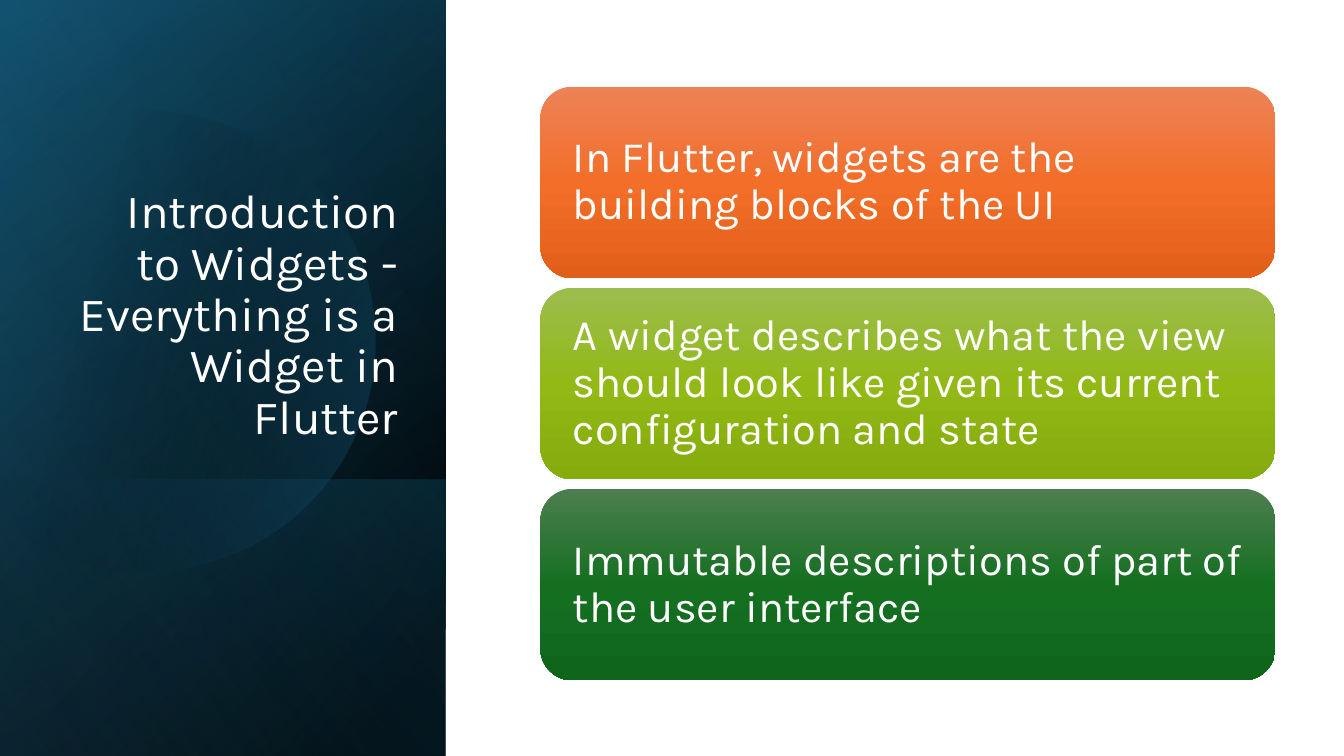
from lxml.etree import SubElement
from pptx import Presentation
from pptx.dml.color import RGBColor
from pptx.enum.shapes import MSO_SHAPE
from pptx.enum.text import MSO_ANCHOR, MSO_AUTO_SIZE, PP_ALIGN
from pptx.oxml.ns import qn
from pptx.util import Inches, Pt

COLORS = {
    "white": "FFFFFF", "black": "000000", "navy": "104862",
    "teal": "156082", "sky": "46B1E1",
    "orange_top": "ED8257", "orange": "F26E29", "orange_base": "E25F1A",
    "lime_top": "9CBD4E", "lime": "92B916", "lime_base": "85AB0D",
    "green_top": "4D7E50", "green": "156F21", "green_base": "0F661B",
}
FONT = "Karla"
PANEL_WIDTH, SLIDE_HEIGHT = 4.42, 7.5
CARD_LEFT, CARD_TOP, CARD_WIDTH, CARD_HEIGHT, CARD_PITCH = 5.36, 0.86, 7.29, 1.9, 1.995

# Top and height of each panel layer, gradient stops (position, colour, opacity), angle
PANEL_LAYERS = [
    (0, SLIDE_HEIGHT, [(8, "black", 100), (100, "navy", 100)], 50),
    (0, SLIDE_HEIGHT, [(0, "black", 0), (99, "teal", 46)], 30),
    (4.76, 2.74, [(2, "teal", 29), (100, "black", 30)], 130),
]
GLOSS_LAYER = (0, SLIDE_HEIGHT, [(0, "black", 0), (99, "sky", 11)], 120)

# Outline of the glow: start point, then cubic curves (6 numbers) and lines (2)
GLOW_START = (1.49, 1.1)
GLOW_SEGMENTS = [
    (2.46, 1.12, 3.35, 1.77, 3.63, 2.75), (3.98, 3.97, 3.28, 5.23, 2.07, 5.58),
    (1.31, 5.8, 0.53, 5.61, -0.03, 5.14), (-0.15, 5.03), (-0.15, 1.75), (0, 1.61),
    (0.23, 1.42, 0.5, 1.28, 0.8, 1.19), (1.03, 1.13, 1.26, 1.1, 1.49, 1.1),
]

TITLE = "Introduction to Widgets - Everything is a Widget in Flutter"
CARDS = [
    ("In Flutter, widgets are the building blocks of the UI", "orange"),
    ("A widget describes what the view should look like given its current "
     "configuration and state", "lime"),
    ("Immutable descriptions of part of the user interface", "green"),
]


def apply_format(target, values):
    for name, value in values.items():
        setattr(target, name, value)


def paint_gradient(shape, stops, angle):
    """Fill a shape with a linear gradient and remove its line and shadow."""
    shape.shadow.inherit = False
    shape.line.fill.background()
    shape.fill.gradient()
    gradient = shape.element.spPr.find(qn("a:gradFill"))
    for child in list(gradient):
        gradient.remove(child)
    gradient.set("rotWithShape", "1")
    stop_list = SubElement(gradient, qn("a:gsLst"))
    for position, color, opacity in stops:
        stop = SubElement(stop_list, qn("a:gs"), pos=str(position * 1000))
        tint = SubElement(stop, qn("a:srgbClr"), val=COLORS[color])
        if opacity < 100:
            SubElement(tint, qn("a:alpha"), val=str(opacity * 1000))
    SubElement(gradient, qn("a:lin"), ang=str(angle * 60000), scaled="0")


def add_panel_layer(slide, top, height, stops, angle):
    """Add a mirrored quarter-turned rectangle across the left panel."""
    layer = slide.shapes.add_shape(
        MSO_SHAPE.RECTANGLE,
        Inches((PANEL_WIDTH - height) / 2), Inches(top + (height - PANEL_WIDTH) / 2),
        Inches(height), Inches(PANEL_WIDTH))
    layer.rotation = 90
    layer.element.spPr.xfrm.set("flipH", "1")
    paint_gradient(layer, stops, angle)


def curve_points(start, segment, steps=24):
    """Sample a cubic curve; a line segment gives just its end point."""
    if len(segment) == 2:
        return [segment]
    controls = [start, segment[:2], segment[2:4], segment[4:]]
    points = []
    for step in range(1, steps + 1):
        t = step / steps
        weights = ((1 - t) ** 3, 3 * t * (1 - t) ** 2, 3 * t * t * (1 - t), t ** 3)
        points.append(tuple(sum(w * c[axis] for w, c in zip(weights, controls))
                            for axis in (0, 1)))
    return points


def add_glow(slide):
    outline = [GLOW_START]
    for segment in GLOW_SEGMENTS:
        outline += curve_points(outline[-1], segment)
    corners = [(Inches(x), Inches(y)) for x, y in outline]
    builder = slide.shapes.build_freeform(*corners[0])
    builder.add_line_segments(corners[1:], close=True)
    paint_gradient(builder.convert_to_shape(), [(29, "black", 0), (100, "teal", 43)], 14)


def write_text(shape, text, size, align, anchor, inset):
    frame = shape.text_frame
    frame.text = text
    apply_format(frame, {
        "word_wrap": True, "auto_size": MSO_AUTO_SIZE.NONE, "vertical_anchor": anchor,
        "margin_left": inset, "margin_right": inset,
        "margin_top": Inches(0.05), "margin_bottom": Inches(0.05)})
    paragraph = frame.paragraphs[0]
    apply_format(paragraph, {"alignment": align, "line_spacing": 0.9, "space_before": Pt(0)})
    apply_format(paragraph.font, {"name": FONT, "size": Pt(size)})
    paragraph.font.color.rgb = RGBColor.from_string(COLORS["white"])


def add_title(slide):
    title = slide.shapes.title
    apply_format(title, {"left": Inches(0.64), "top": Inches(1.84),
                         "width": Inches(3.41), "height": Inches(2.62)})
    write_text(title, TITLE, 34, PP_ALIGN.RIGHT, MSO_ANCHOR.BOTTOM, Inches(0.1))


def add_card(slide, row, text, color):
    card = slide.shapes.add_shape(
        MSO_SHAPE.ROUNDED_RECTANGLE, Inches(CARD_LEFT),
        Inches(CARD_TOP + row * CARD_PITCH), Inches(CARD_WIDTH), Inches(CARD_HEIGHT))
    paint_gradient(card, [(0, f"{color}_top", 100), (50, color, 100),
                          (100, f"{color}_base", 100)], 90)
    write_text(card, text, 31, PP_ALIGN.LEFT, MSO_ANCHOR.MIDDLE, Inches(0.23))


def main():
    deck = Presentation()
    apply_format(deck, {"slide_width": Inches(13.33), "slide_height": Inches(SLIDE_HEIGHT)})
    slide = deck.slides.add_slide(deck.slide_layouts[5])

    # Left panel
    for layer in PANEL_LAYERS:
        add_panel_layer(slide, *layer)
    add_glow(slide)
    add_panel_layer(slide, *GLOSS_LAYER)

    # Title, raised above the panel layers
    add_title(slide)
    slide.shapes.element.append(slide.shapes.title.element)

    # Statement cards
    for row, (text, color) in enumerate(CARDS):
        add_card(slide, row, text, color)

    deck.save("out.pptx")


if __name__ == "__main__":
    main()
